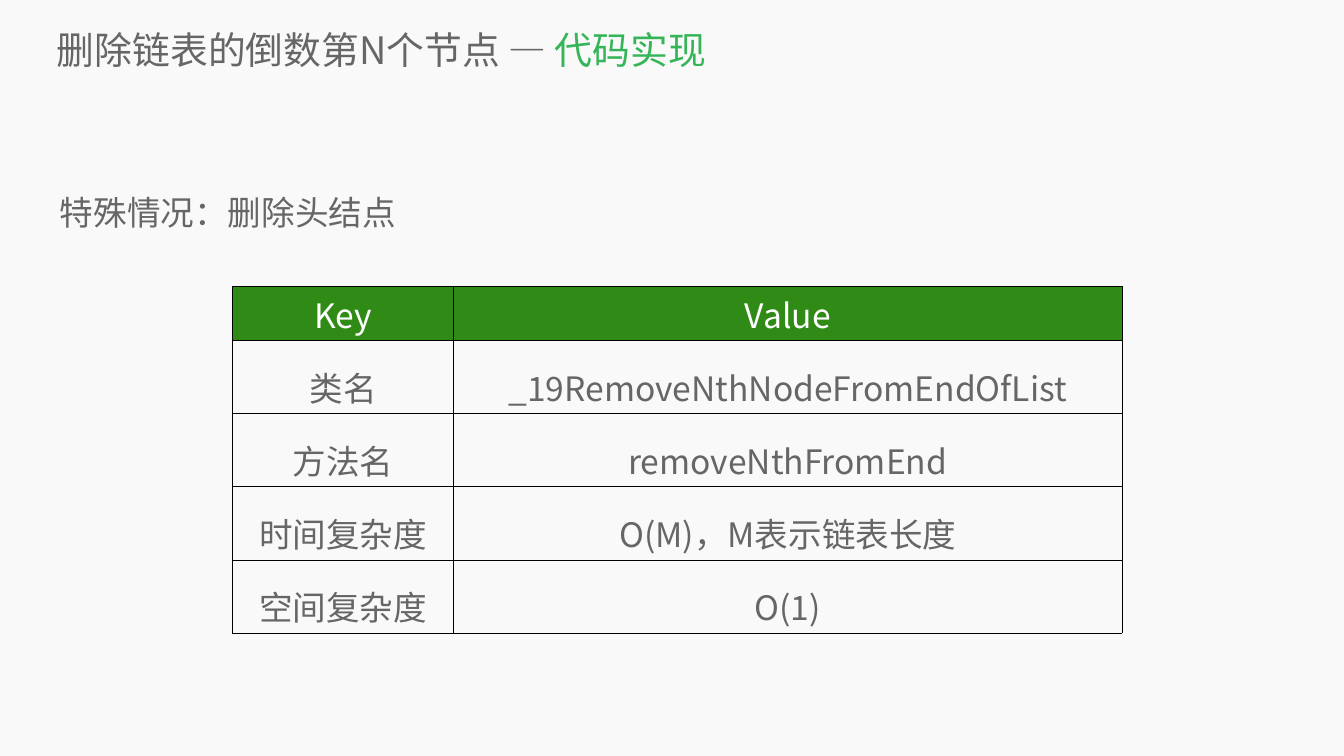
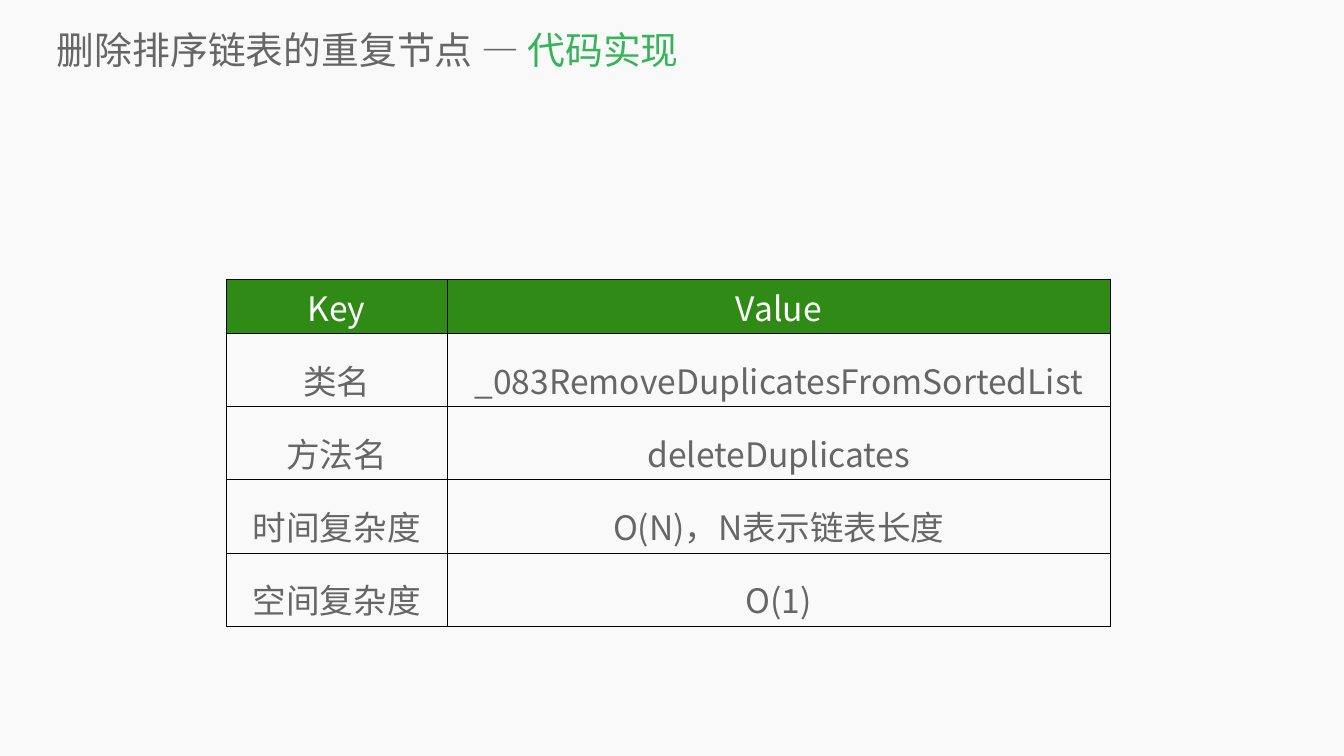
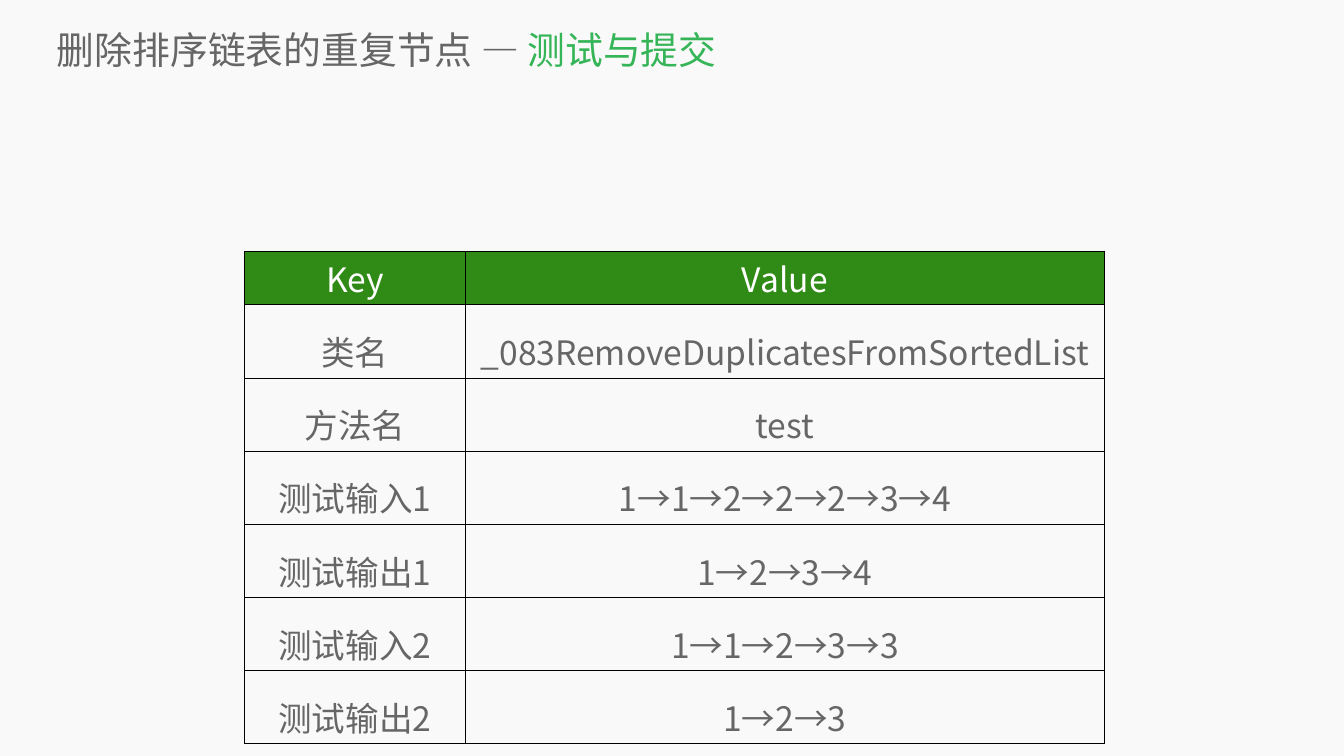
from lxml.etree import SubElement
from pptx import Presentation
from pptx.dml.color import RGBColor
from pptx.enum.text import MSO_ANCHOR as Anchor, MSO_AUTO_SIZE as AutoSize, PP_ALIGN as Align
from pptx.oxml.ns import qn
from pptx.util import Cm, Pt

PAPER = RGBColor(0xF9, 0xF9, 0xF9)
GREY = RGBColor(0x66, 0x66, 0x66)
ACCENT = RGBColor(0x35, 0xB5, 0x58)
HEADER_GREEN = RGBColor(0x30, 0x8B, 0x16)
WHITE = RGBColor(0xFF, 0xFF, 0xFF)
BLACK = RGBColor(0x00, 0x00, 0x00)

FONT = "Noto Sans CJK SC"
TITLE_SIZE, BODY_SIZE = Pt(54), Pt(48)
BODY_SPACING = 1.4
TITLE_BOX = (2.87, 1.19, 63.91, 2.59)
NOTE_BOX = (3.02, 8.86, 61.67, 28.55)
KEY_WIDTH = 11.13
HEADER_HEIGHT, ROW_HEIGHT = 2.16, 2.11          # minimum heights, rows grow with the text
HEADER_SPACE, ROW_SPACE = 2.28, 3.1             # room the table frame reserves per row
HEADER = ("Key", "Value")

SLIDES = [
    {
        "topic": "删除链表的倒数第N个节点", "step": "代码实现",
        "note": "特殊情况：删除头结点",
        "corner": (11.73, 14.45), "value_width": 33.68,
        "rows": [
            ("类名", "_19RemoveNthNodeFromEndOfList"),
            ("方法名", "removeNthFromEnd"),
            ("时间复杂度", "O(M)，M表示链表长度"),
            ("空间复杂度", "O(1)"),
        ],
    },
    {
        "topic": "删除排序链表的重复节点", "step": "代码实现",
        "corner": (11.4, 14.1), "value_width": 33.43,
        "rows": [
            ("类名", "_083RemoveDuplicatesFromSortedList"),
            ("方法名", "deleteDuplicates"),
            ("时间复杂度", "O(N)，N表示链表长度"),
            ("空间复杂度", "O(1)"),
        ],
    },
    {
        "topic": "删除排序链表的重复节点", "step": "测试与提交",
        "corner": (12.32, 12.65), "value_width": 32.21,
        "rows": [
            ("类名", "_083RemoveDuplicatesFromSortedList"),
            ("方法名", "test"),
            ("测试输入1", "1→1→2→2→2→3→4"),
            ("测试输出1", "1→2→3→4"),
            ("测试输入2", "1→1→2→3→3"),
            ("测试输出2", "1→2→3"),
        ],
    },
]


def style_run(run, size, color):
    """Give a run the deck font, for Latin and Chinese text alike."""
    run.font.name, run.font.size = FONT, size
    run.font.color.rgb = color
    SubElement(run.font._element, qn("a:ea"), typeface=FONT)


def add_text(slide, box, parts, size, anchor=Anchor.TOP, spacing=None):
    """Add a one-paragraph text box made of (text, colour) parts."""
    frame = slide.shapes.add_textbox(*map(Cm, box)).text_frame
    frame.word_wrap, frame.auto_size = True, AutoSize.NONE
    frame.vertical_anchor = anchor
    frame.margin_left = frame.margin_right = frame.margin_top = frame.margin_bottom = 0
    paragraph = frame.paragraphs[0]
    paragraph.line_spacing = spacing
    for text, color in parts:
        run = paragraph.add_run()
        run.text = text
        style_run(run, size, color)


def add_borders(cell):
    """Draw a thin black line on the four sides of a cell."""
    properties = cell._tc.get_or_add_tcPr()
    for side in ("lnL", "lnR", "lnT", "lnB"):
        line = SubElement(properties, qn(f"a:{side}"), w=str(Pt(1)))
        fill = SubElement(line, qn("a:solidFill"))
        SubElement(fill, qn("a:srgbClr"), val=str(BLACK))


def fill_cell(cell, text, is_header):
    """Write one table cell in header or body style."""
    add_borders(cell)
    if is_header:
        cell.fill.solid()
        cell.fill.fore_color.rgb = HEADER_GREEN
    else:
        cell.fill.background()
    paragraph = cell.text_frame.paragraphs[0]
    paragraph.text = text
    paragraph.alignment = Align.CENTER
    paragraph.line_spacing = None if is_header else BODY_SPACING
    style_run(paragraph.runs[0], BODY_SIZE, WHITE if is_header else GREY)


def add_key_table(slide, corner, value_width, rows):
    """Add the key and value table below its green header."""
    lines = [HEADER, *rows]
    widths = (KEY_WIDTH, value_width)
    height = HEADER_SPACE + ROW_SPACE * len(rows)
    holder = slide.shapes.add_table(
        len(lines), len(HEADER), *map(Cm, (*corner, sum(widths), height)))
    table = holder.table
    table.first_row = table.horz_banding = False
    for column, width in zip(table.columns, widths):
        column.width = Cm(width)
    for index, line in enumerate(lines):
        table.rows[index].height = Cm(ROW_HEIGHT if index else HEADER_HEIGHT)
        for position, text in enumerate(line):
            fill_cell(table.cell(index, position), text, index == 0)
    holder.height = Cm(height)


def build():
    """Build and save the deck."""
    deck = Presentation()
    deck.slide_width, deck.slide_height = Cm(67.73), Cm(38.1)
    paper = deck.slide_master.background.fill
    paper.solid()
    paper.fore_color.rgb = PAPER
    for content in SLIDES:
        slide = deck.slides.add_slide(deck.slide_layouts[6])
        title = [(content["topic"] + " — ", GREY), (content["step"], ACCENT)]
        add_text(slide, TITLE_BOX, title, TITLE_SIZE, Anchor.MIDDLE)
        if "note" in content:
            add_text(slide, NOTE_BOX, [(content["note"], GREY)], BODY_SIZE, spacing=BODY_SPACING)
        add_key_table(slide, content["corner"], content["value_width"], content["rows"])
    deck.save("out.pptx")


build()
